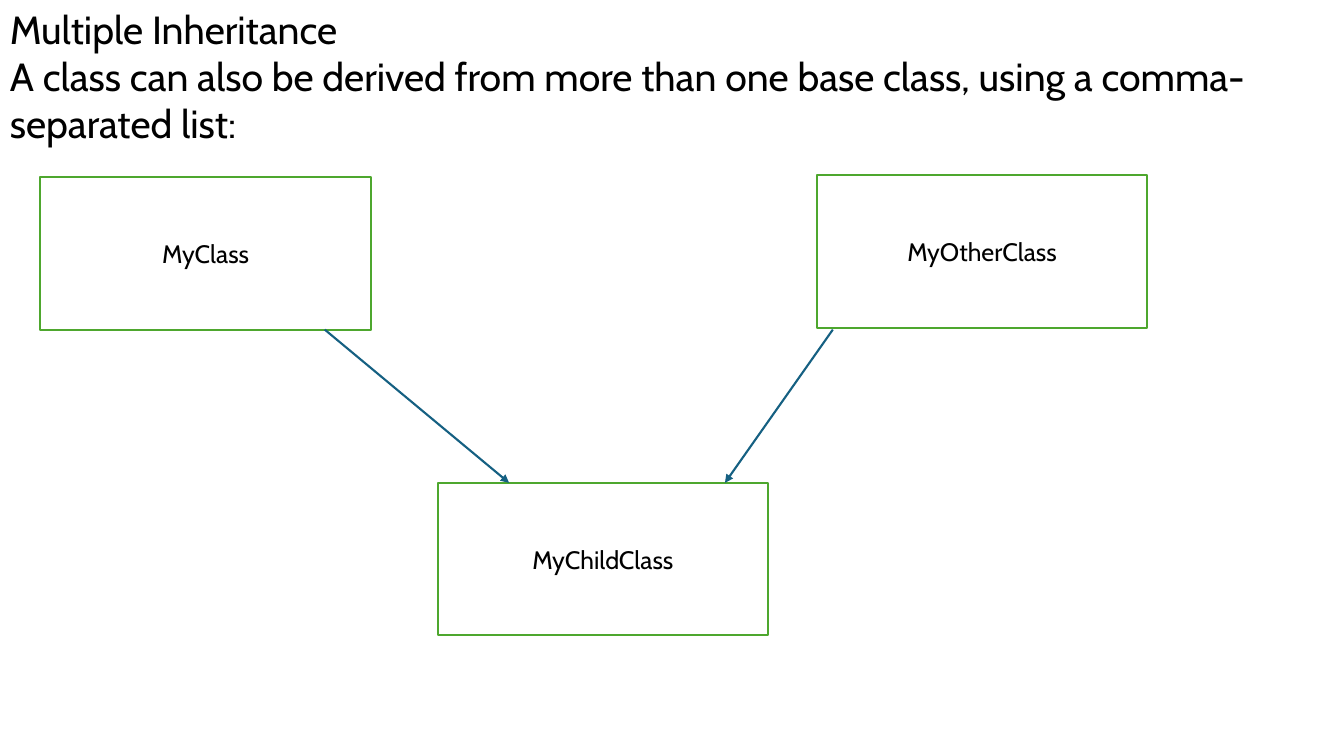
from lxml import etree
from pptx import Presentation
from pptx.dml.color import RGBColor
from pptx.enum.shapes import MSO_CONNECTOR, MSO_SHAPE
from pptx.enum.text import MSO_ANCHOR, MSO_AUTO_SIZE, PP_ALIGN
from pptx.oxml.ns import qn
from pptx.util import Inches, Pt

RECTANGLE = MSO_SHAPE.RECTANGLE
STRAIGHT = MSO_CONNECTOR.STRAIGHT
MIDDLE = MSO_ANCHOR.MIDDLE
FIT_SHAPE = MSO_AUTO_SIZE.SHAPE_TO_FIT_TEXT
LEFT, CENTER = PP_ALIGN.LEFT, PP_ALIGN.CENTER

BLACK = RGBColor(0x00, 0x00, 0x00)
WHITE = RGBColor(0xFF, 0xFF, 0xFF)
GREEN = RGBColor(0x4E, 0xA7, 0x2E)
BLUE = RGBColor(0x15, 0x60, 0x82)

WIDTH, HEIGHT = Inches(13.33), Inches(7.5)
COLUMNS = ROWS = 100
BOX_COLUMNS, BOX_ROWS = 24.6, 20.13
BASE_ROW, CHILD_ROW = 23.47, 63.87
BASE_BOTTOM = BASE_ROW + BOX_ROWS

HEADING = [
    "Multiple Inheritance",
    "A class can also be derived from more than one base class, "
    "using a comma-separated list:",
]
CLASSES = [
    ("MyClass", 3, BASE_ROW),
    ("MyOtherClass", 60.77, 23.2),
    ("MyChildClass", 32.56, CHILD_ROW),
]
ARROWS = [(24.16, 37.88), (61.97, 53.94)]


def col(n):
    return round(WIDTH * n / COLUMNS)


def row(n):
    return round(HEIGHT * n / ROWS)


def write(tf, lines, size, align):
    tf.word_wrap = True
    font_format = {"name": "Cabin", "size": Pt(size)}
    for i, line in enumerate(lines):
        p = tf.paragraphs[0] if i == 0 else tf.add_paragraph()
        p.alignment = align
        r = p.add_run()
        r.text = line
        for name, value in font_format.items():
            setattr(r.font, name, value)
        r.font.color.rgb = BLACK


def stroke(line, color):
    line.color.rgb = color
    line.width = Pt(1.5)


def add_heading(s):
    sp = s.shapes.add_textbox(0, 0, WIDTH, row(BOX_ROWS))
    write(sp.text_frame, HEADING, 28, LEFT)
    sp.text_frame.auto_size = FIT_SHAPE


def add_class(s, name, x, y):
    sp = s.shapes.add_shape(
        RECTANGLE, col(x), row(y), col(BOX_COLUMNS), row(BOX_ROWS))
    sp.shadow.inherit = False
    sp.fill.solid()
    sp.fill.fore_color.rgb = WHITE
    stroke(sp.line, GREEN)
    sp.text_frame.vertical_anchor = MIDDLE
    write(sp.text_frame, [name], 18, CENTER)


def add_arrow(s, start, end):
    sp = s.shapes.add_connector(
        STRAIGHT, col(start), row(BASE_BOTTOM), col(end), row(CHILD_ROW))
    stroke(sp.line, BLUE)
    ln = sp.line._get_or_add_ln()
    etree.SubElement(ln, qn("a:tailEnd"), type="triangle")
    etree.SubElement(sp._element.spPr, qn("a:effectLst"))


def main():
    prs = Presentation()
    prs.slide_width, prs.slide_height = WIDTH, HEIGHT
    s = prs.slides.add_slide(prs.slide_layouts[6])
    add_heading(s)
    for name, x, y in CLASSES:
        add_class(s, name, x, y)
    for start, end in ARROWS:
        add_arrow(s, start, end)
    prs.save("out.pptx")


if __name__ == "__main__":
    main()
